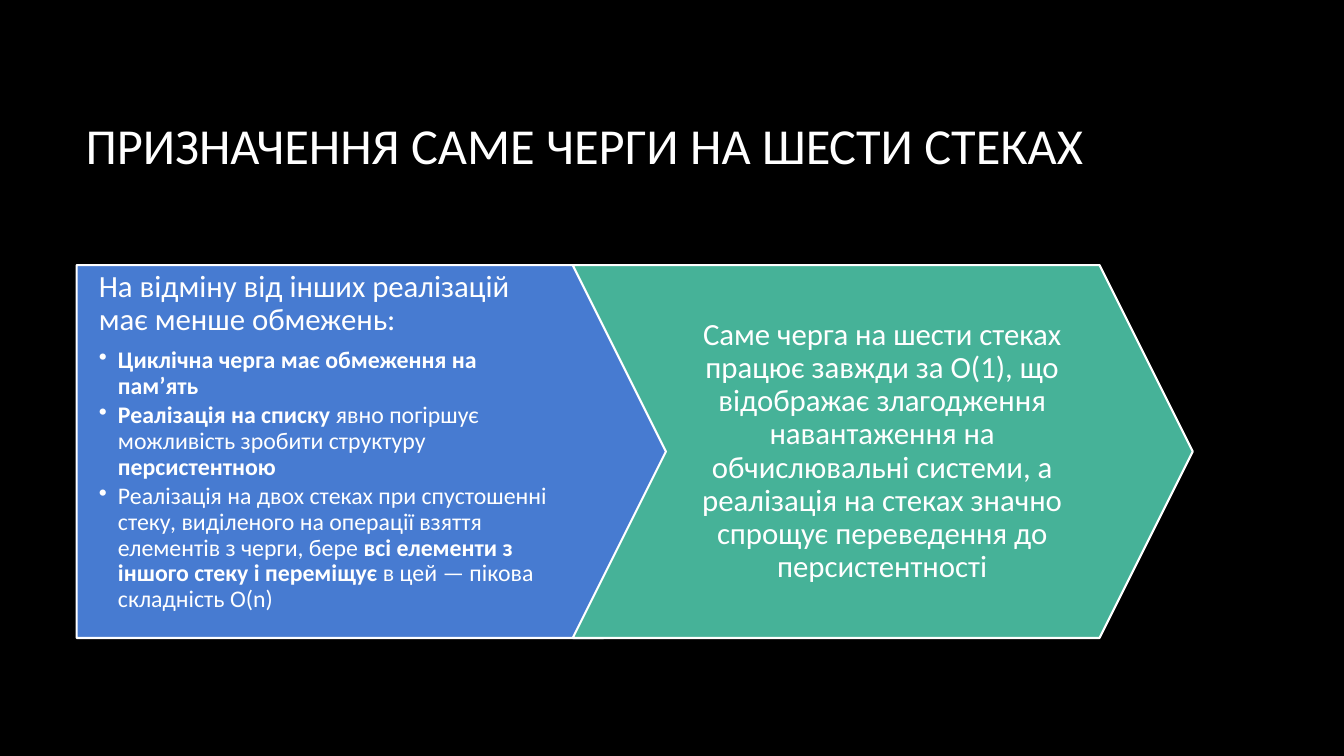
import pptx
import pptx.util
import pptx.dml.color
import pptx.enum.shapes
import pptx.enum.text
import lxml.etree
from dataclasses import dataclass

Inches = pptx.util.Inches
Pt = pptx.util.Pt
Shapes = pptx.enum.shapes.MSO_SHAPE
Align = pptx.enum.text.PP_ALIGN
Anchor = pptx.enum.text.MSO_ANCHOR


@dataclass(frozen=True)
class Theme:
    """Colours, font and type sizes of the slide."""
    font: str = "Calibri"
    background: str = "000000"
    ink: str = "FFFFFF"
    limits: str = "477BD1"
    benefit: str = "46B298"
    title_size: int = 36
    lead_size: int = 22
    bullet_size: int = 17
    outline: float = 1.5


class SlideBuilder:
    """Draws styled elements on the current slide."""

    def __init__(self, page, theme):
        self.page = page
        self.theme = theme
        self.paint(page.background.fill, theme.background)

    def paint(self, fill, colour):
        """Set a solid fill."""
        fill.solid()
        fill.fore_color.rgb = pptx.dml.color.RGBColor.from_string(colour)

    def arrow(self, kind, place, colour):
        """Add an outlined block arrow."""
        shape = self.page.shapes.add_shape(kind, *map(Inches, place))
        shape.adjustments[0] = 0.25
        shape.shadow.inherit = False
        self.paint(shape.fill, colour)
        self.paint(shape.line.fill, self.theme.ink)
        shape.line.width = Pt(self.theme.outline)

    def text_box(self, place, margins, anchor=Anchor.MIDDLE):
        """Add an empty wrapping text box and return its frame."""
        frame = self.page.shapes.add_textbox(*map(Inches, place)).text_frame
        frame.word_wrap = True
        frame.vertical_anchor = anchor
        (frame.margin_left, frame.margin_top,
         frame.margin_right, frame.margin_bottom) = map(Inches, margins)
        return frame

    def fill_para(self, para, spans, size, after=0.0, align=Align.LEFT):
        """Fill a paragraph with (text, bold) spans."""
        para.alignment = align
        para.line_spacing = 0.9
        para.space_after = Pt(size * after)
        for text, bold in spans:
            span = para.add_run()
            span.text = text
            span.font.name = self.theme.font
            span.font.size = Pt(size)
            span.font.bold = bold
            self.paint(span.font.fill, self.theme.ink)

    def bullet(self, frame, spans):
        """Append a bulleted paragraph."""
        para = frame.add_paragraph()
        para.level = 1
        self.fill_para(para, spans, self.theme.bullet_size, 0.15)
        props = para._p.get_or_add_pPr()
        props.set("marL", str(Inches(0.19)))
        props.set("indent", str(-Inches(0.19)))
        mark = lxml.etree.SubElement(props, pptx.oxml.ns.qn("a:buChar"))
        mark.set("char", "•")


LIMITS = [
    [("Циклічна черга має обмеження на пам’ять", True)],
    [("Реалізація на списку ", True),
     ("явно погіршує можливість зробити структуру ", False),
     ("персистентною", True)],
    [("Реалізація на двох стеках при спустошенні стеку, виділеного на "
      "операції взяття елементів з черги, бере ", False),
     ("всі елементи з іншого стеку і переміщує ", True),
     ("в цей — пікова складність O(n)", False)],
]
BENEFIT = ("Саме черга на шести стеках працює завжди за O(1), що відображає "
           "злагодження навантаження на обчислювальні системи, а реалізація на "
           "стеках значно спрощує переведення до персистентності")


def main():
    """Build and save the slide."""
    deck = pptx.Presentation()
    deck.slide_width, deck.slide_height = Inches(13.33), Inches(7.5)
    theme = Theme()
    builder = SlideBuilder(deck.slides.add_slide(deck.slide_layouts[6]), theme)

    title = builder.text_box((0.75, 0.67, 11.08, 1.59), (0.1, 0.05, 0.1, 0.05))
    builder.fill_para(title.paragraphs[0],
                      [("ПРИЗНАЧЕННЯ САМЕ ЧЕРГИ НА ШЕСТИ СТЕКАХ", False)],
                      theme.title_size)

    top, width, height = 2.63, 6.15, 3.7
    builder.arrow(Shapes.PENTAGON, (0.76, top, width, height), theme.limits)
    limits = builder.text_box((0.76, top, 5.68, height),
                              (0.22, 0.06, 0.87, 0.06), Anchor.TOP)
    builder.fill_para(limits.paragraphs[0],
                      [("На відміну від інших реалізацій має менше обмежень:", False)],
                      theme.lead_size, 0.35)
    for spans in LIMITS:
        builder.bullet(limits, spans)

    builder.arrow(Shapes.CHEVRON, (5.68, top, width, height), theme.benefit)
    benefit = builder.text_box((6.6, top, 4.3, height), (0.22, 0.06, 0.22, 0.06))
    builder.fill_para(benefit.paragraphs[0], [(BENEFIT, False)],
                      theme.lead_size, 0.35, Align.CENTER)

    deck.save("out.pptx")


if __name__ == "__main__":
    main()
